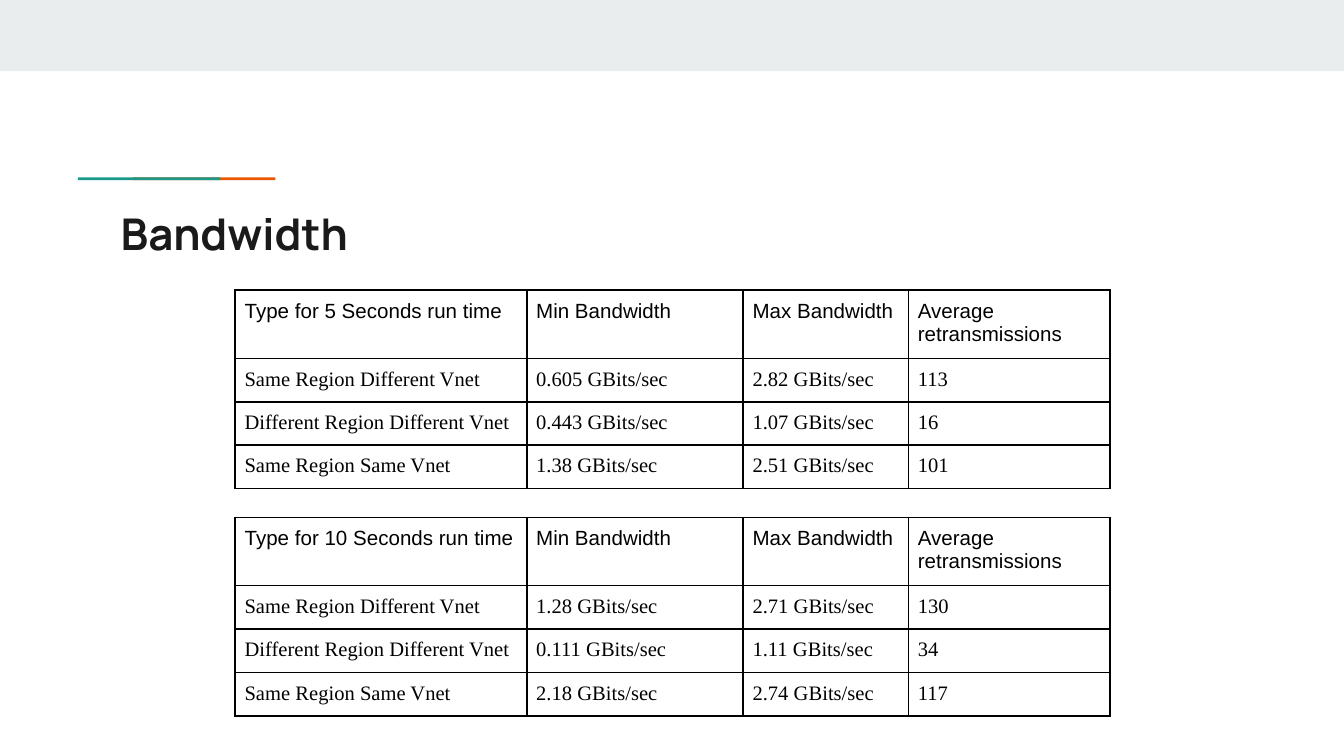
from lxml import etree
from pptx import Presentation
from pptx.dml.color import RGBColor
from pptx.enum.shapes import MSO_SHAPE
from pptx.oxml.ns import qn
from pptx.util import Inches, Pt

RECTANGLE = MSO_SHAPE.RECTANGLE

COLORS = {
    "band": "E9EDEE",
    "orange": "EB5600",
    "teal": "1A9988",
    "title": "1A1A1A",
    "black": "000000",
}

# Content
TITLE = "Bandwidth"
MEASURES = ["Min Bandwidth", "Max Bandwidth", "Average retransmissions"]
TABLES = [
    (2.16, [
        ["Type for 5 Seconds run time", *MEASURES],
        ["Same Region Different Vnet", "0.605 GBits/sec", "2.82 GBits/sec", "113"],
        ["Different Region Different Vnet", "0.443 GBits/sec", "1.07 GBits/sec", "16"],
        ["Same Region Same Vnet", "1.38 GBits/sec", "2.51 GBits/sec", "101"],
    ]),
    (3.85, [
        ["Type for 10 Seconds run time", *MEASURES],
        ["Same Region Different Vnet", "1.28 GBits/sec", "2.71 GBits/sec", "130"],
        ["Different Region Different Vnet", "0.111 GBits/sec", "1.11 GBits/sec", "34"],
        ["Same Region Same Vnet", "2.18 GBits/sec", "2.74 GBits/sec", "117"],
    ]),
]

# Layout in inches: left, top, width, height
SLIDE_WIDTH = Inches(10)
SLIDE_HEIGHT = SLIDE_WIDTH * 9 // 16
BARS = [
    ("band", 0, 0, 10, 0.53),
    ("orange", 0.99, 1.32, 1.06, 0.02),
    ("teal", 0.58, 1.32, 1.06, 0.02),
]
TABLE_LEFT = 1.75
COLUMN_WIDTHS = [2.17, 1.61, 1.23, 1.5]
ROW_HEIGHT = 0.29  # rows grow to fit their text
CELL_MARGIN = 0.07


def color(name):
    return RGBColor.from_string(COLORS[name])


def style_paragraph(para, font, size, color_name, bold=False):
    para.line_spacing = 1.0
    for span in para.runs:
        span.font.name = font
        span.font.size = Pt(size)
        span.font.bold = bold
        span.font.color.rgb = color(color_name)


def set_margins(item, margin):
    item.margin_left = item.margin_right = Inches(margin)
    item.margin_top = item.margin_bottom = Inches(margin)


def add_borders(cell):
    properties = cell._tc.get_or_add_tcPr()
    for index, side in enumerate(("a:lnL", "a:lnR", "a:lnT", "a:lnB")):
        line = etree.Element(qn(side), w=str(Pt(1)))
        fill = etree.SubElement(line, qn("a:solidFill"))
        etree.SubElement(fill, qn("a:srgbClr"), val=COLORS["black"])
        properties.insert(index, line)


def add_bandwidth_table(slide, top, rows):
    table = slide.shapes.add_table(
        len(rows), len(COLUMN_WIDTHS), Inches(TABLE_LEFT), Inches(top),
        Inches(sum(COLUMN_WIDTHS)), Inches(ROW_HEIGHT * len(rows))).table
    table.first_row = table.horz_banding = False
    for column, width in zip(table.columns, COLUMN_WIDTHS):
        column.width = Inches(width)
    for row_index, values in enumerate(rows):
        font = "Times New Roman" if row_index else "Arial"
        for column_index, value in enumerate(values):
            cell = table.cell(row_index, column_index)
            cell.fill.background()
            set_margins(cell, CELL_MARGIN)
            cell.text_frame.text = value
            style_paragraph(cell.text_frame.paragraphs[0], font, 11, "black")
            add_borders(cell)


def main():
    deck = Presentation()
    deck.slide_width, deck.slide_height = SLIDE_WIDTH, SLIDE_HEIGHT
    slide = deck.slides.add_slide(deck.slide_layouts[6])

    # Top band and accent line
    for name, *place in BARS:
        bar = slide.shapes.add_shape(RECTANGLE, *map(Inches, place))
        bar.shadow.inherit = False
        bar.fill.solid()
        bar.fill.fore_color.rgb = color(name)
        bar.line.fill.background()

    # Title
    box = slide.shapes.add_textbox(*map(Inches, (0.8, 1.44, 8.41, 0.59)))
    frame = box.text_frame
    frame.word_wrap = True
    set_margins(frame, 0.1)
    frame.text = TITLE
    style_paragraph(frame.paragraphs[0], "Manrope", 23.4, "title", bold=True)

    # Tables
    for top, rows in TABLES:
        add_bandwidth_table(slide, top, rows)

    deck.save("out.pptx")


if __name__ == "__main__":
    main()
